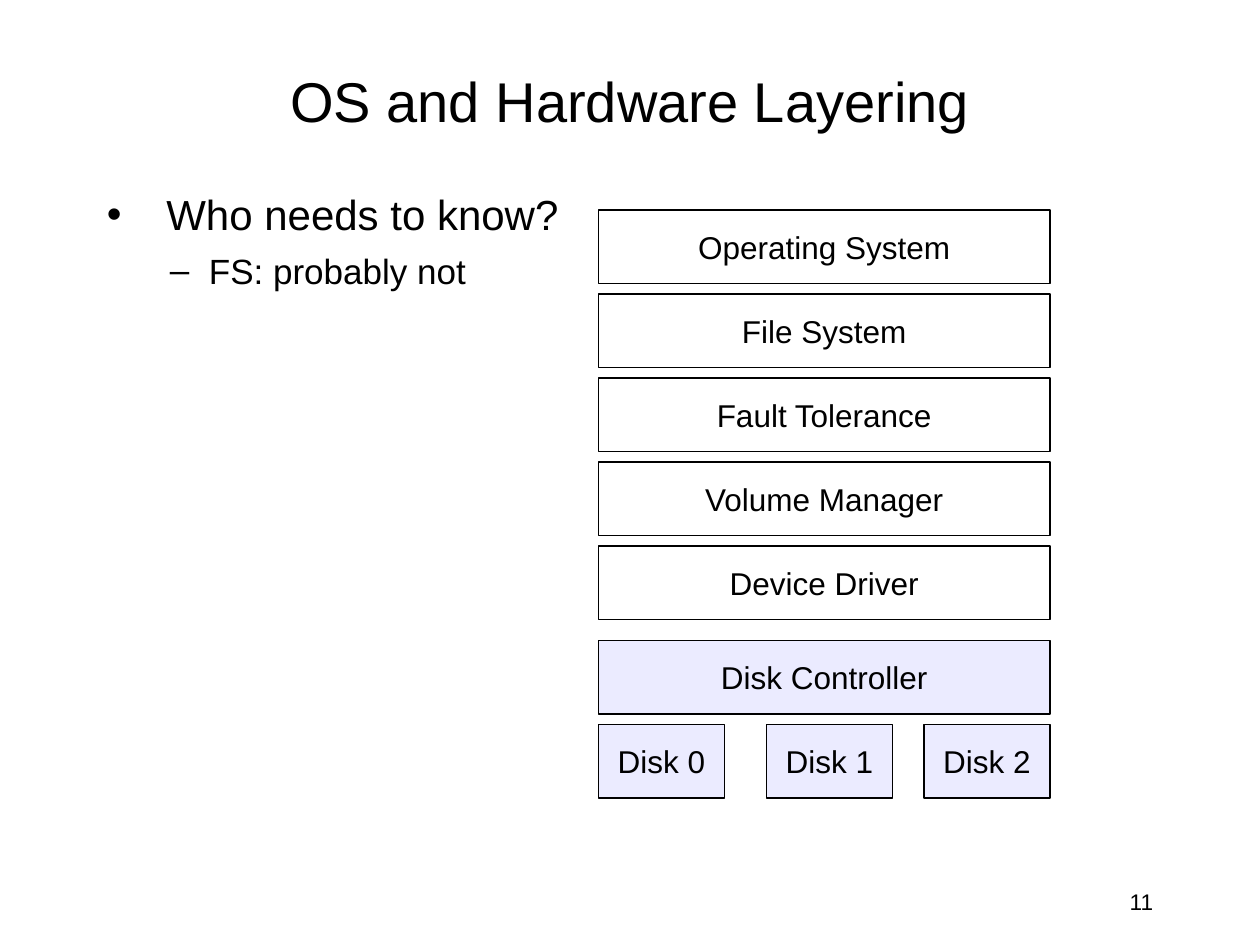
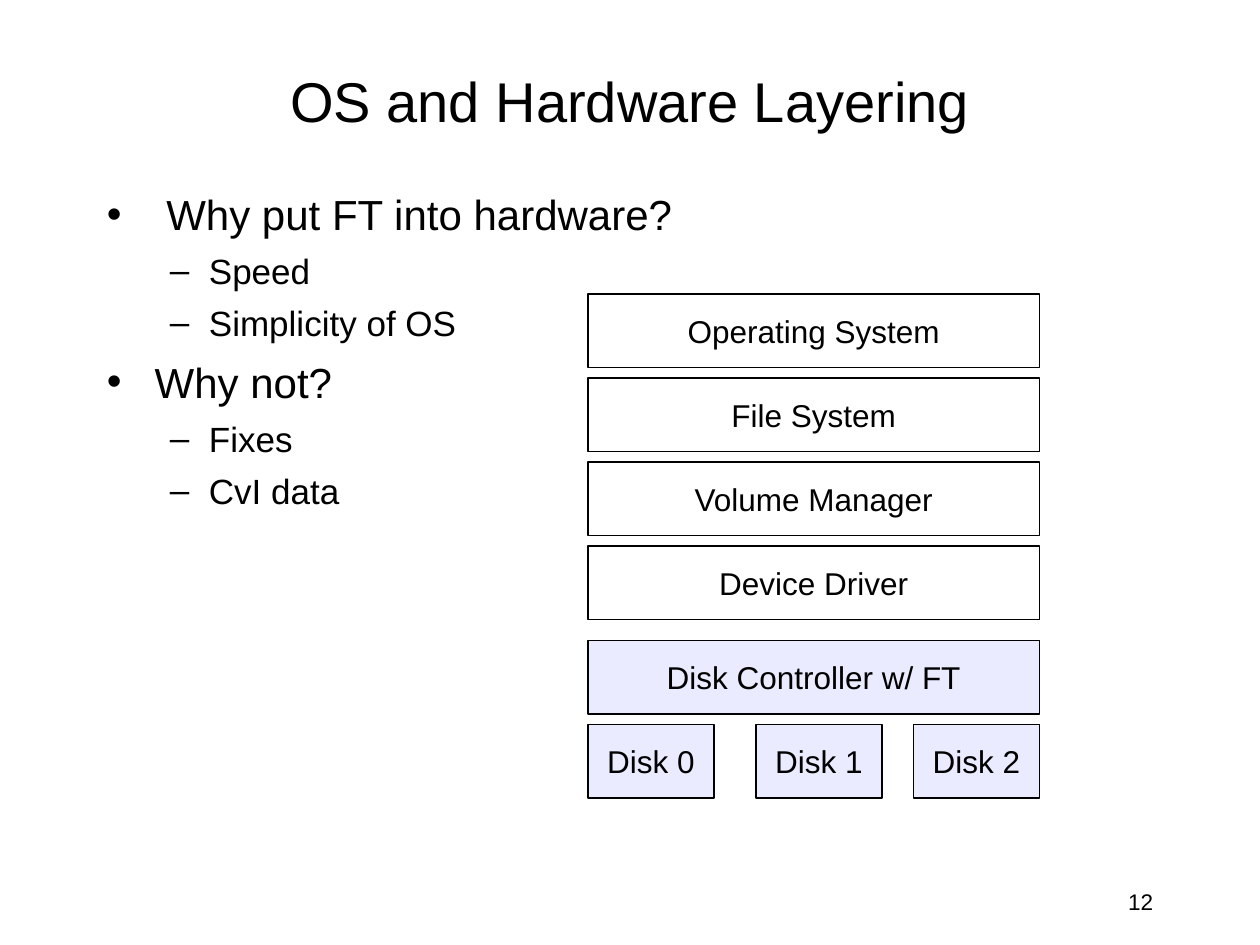
"""Build two slides on the layering of operating system and disk hardware."""
from typing import NamedTuple

from lxml.etree import SubElement
from pptx import Presentation
from pptx.dml.color import RGBColor
from pptx.enum.shapes import MSO_SHAPE as Preset
from pptx.enum.text import MSO_ANCHOR as Anchor, MSO_AUTO_SIZE as AutoSize, PP_ALIGN as Align
from pptx.oxml.ns import qn
from pptx.util import Inches, Pt

CELL = Inches(1) // 12
FONT = "Arial"
INK = "000000"
SOFTWARE = "FFFFFF"
HARDWARE = "EBEBFF"
LAYER_WIDTH, LAYER_HEIGHT, LAYER_STEP = 43, 7, 8
DRIVER_ROW, CONTROLLER_ROW = 52, 61
DISK_WIDTH = 12
DISK_OFFSETS = (0, 16, 31)


class Area(NamedTuple):
    """Place on the slide in grid columns and rows."""
    column: float
    row: float
    columns: float
    rows: float

    def lengths(self) -> list[int]:
        """Return left, top, width and height."""
        return [round(cells * CELL) for cells in self]


class Level(NamedTuple):
    """Look of one outline level."""
    bullet: str
    size: float
    indent: float
    hanging: float
    before: float


class Point(NamedTuple):
    """One outline entry."""
    text: str
    depth: int = 0


class Topic(NamedTuple):
    """Content of one slide."""
    number: int
    points: list[Point]
    stack_column: int
    software: list[str]
    controller: str


TITLE_AREA = Area(9, 5, 102, 9)
OUTLINE_AREA = Area(9, 17, 102, 65)
NUMBER_AREA = Area(86, 84, 25, 4)
LEVELS = (Level("•", 24, 0.38, 0.38, 7), Level("–", 20, 0.81, 0.31, 6))
TITLE = "OS and Hardware Layering"
TOPICS = [
    Topic(11, [Point(" Who needs to know?"), Point("FS: probably not", 1)], 57,
          ["Operating System", "File System", "Fault Tolerance", "Volume Manager",
           "Device Driver"], "Disk Controller"),
    Topic(12, [Point(" Why put FT into hardware?"), Point("Speed", 1),
               Point("Simplicity of OS", 1), Point("Why not?"), Point("Fixes", 1),
               Point("CvI data", 1)], 56,
          ["Operating System", "File System", "Volume Manager", "Device Driver"],
          "Disk Controller w/ FT"),
]


def colour(value: str) -> RGBColor:
    """Turn a hex string into a colour."""
    return RGBColor.from_string(value)


def write(paragraph, text: str, *, size: float, align=Align.LEFT, before: float = 0) -> None:
    """Put formatted text into a paragraph."""
    paragraph.alignment = align
    paragraph.space_before = Pt(before)
    run = paragraph.add_run()
    run.text = text
    run.font.name, run.font.size = FONT, Pt(size)
    run.font.color.rgb = colour(INK)


def set_frame(frame, *, anchor=Anchor.TOP, wrap: bool = True, top: float = 0.05) -> None:
    """Set the anchor, wrapping and insets of a text frame."""
    frame.auto_size, frame.word_wrap, frame.vertical_anchor = AutoSize.NONE, wrap, anchor
    frame.margin_left = frame.margin_right = Inches(0.1)
    frame.margin_top, frame.margin_bottom = Inches(top), Inches(0.05)


def add_bullet(paragraph, level: Level) -> None:
    """Give a paragraph its bullet and hanging indent."""
    properties = paragraph._p.get_or_add_pPr()
    properties.set("marL", str(Inches(level.indent)))
    properties.set("indent", str(-Inches(level.hanging)))
    SubElement(properties, qn("a:buFont"), typeface=FONT)
    SubElement(properties, qn("a:buChar"), char=level.bullet)


def add_title(slide) -> None:
    """Place and format the title."""
    heading = slide.shapes.title
    heading.left, heading.top, heading.width, heading.height = TITLE_AREA.lengths()
    set_frame(heading.text_frame, anchor=Anchor.MIDDLE)
    write(heading.text_frame.paragraphs[0], TITLE, size=32, align=Align.CENTER)


def add_outline(slide, points: list[Point]) -> None:
    """Add the bulleted outline."""
    frame = slide.shapes.add_textbox(*OUTLINE_AREA.lengths()).text_frame
    set_frame(frame, top=0.08)
    for index, point in enumerate(points):
        paragraph = frame.add_paragraph() if index else frame.paragraphs[0]
        level = LEVELS[point.depth]
        paragraph.level = point.depth
        write(paragraph, point.text, size=level.size, before=level.before if index else 0)
        add_bullet(paragraph, level)


def add_number(slide, number: int) -> None:
    """Add the slide number."""
    frame = slide.shapes.add_textbox(*NUMBER_AREA.lengths()).text_frame
    set_frame(frame)
    write(frame.paragraphs[0], str(number), size=12.9, align=Align.RIGHT)


def add_layer(slide, area: Area, label: str, fill: str) -> None:
    """Draw one labelled box of the stack."""
    layer = slide.shapes.add_shape(Preset.RECTANGLE, *area.lengths())
    layer.shadow.inherit = False
    layer.fill.solid()
    layer.fill.fore_color.rgb = colour(fill)
    layer.line.color.rgb = colour(INK)
    layer.line.width = Pt(1)
    set_frame(layer.text_frame, anchor=Anchor.MIDDLE, wrap=False)
    write(layer.text_frame.paragraphs[0], label, size=18, align=Align.CENTER, before=2.2)


def add_stack(slide, topic: Topic) -> None:
    """Draw software layers upward from the driver, then the hardware."""
    left = topic.stack_column
    top = DRIVER_ROW - LAYER_STEP * (len(topic.software) - 1)
    for index, label in enumerate(topic.software):
        area = Area(left, top + index * LAYER_STEP, LAYER_WIDTH, LAYER_HEIGHT)
        add_layer(slide, area, label, SOFTWARE)
    controller_area = Area(left, CONTROLLER_ROW, LAYER_WIDTH, LAYER_HEIGHT)
    add_layer(slide, controller_area, topic.controller, HARDWARE)
    for index, offset in enumerate(DISK_OFFSETS):
        area = Area(left + offset, CONTROLLER_ROW + LAYER_STEP, DISK_WIDTH, LAYER_HEIGHT)
        add_layer(slide, area, f"Disk {index}", HARDWARE)


def main() -> None:
    """Build and save the presentation."""
    deck = Presentation()
    deck.slide_width, deck.slide_height = Inches(10), Inches(7.5)
    title_only = deck.slide_layouts[5]
    for topic in TOPICS:
        slide = deck.slides.add_slide(title_only)
        add_number(slide, topic.number)
        add_title(slide)
        add_outline(slide, topic.points)
        add_stack(slide, topic)
    deck.save("out.pptx")


if __name__ == "__main__":
    main()
